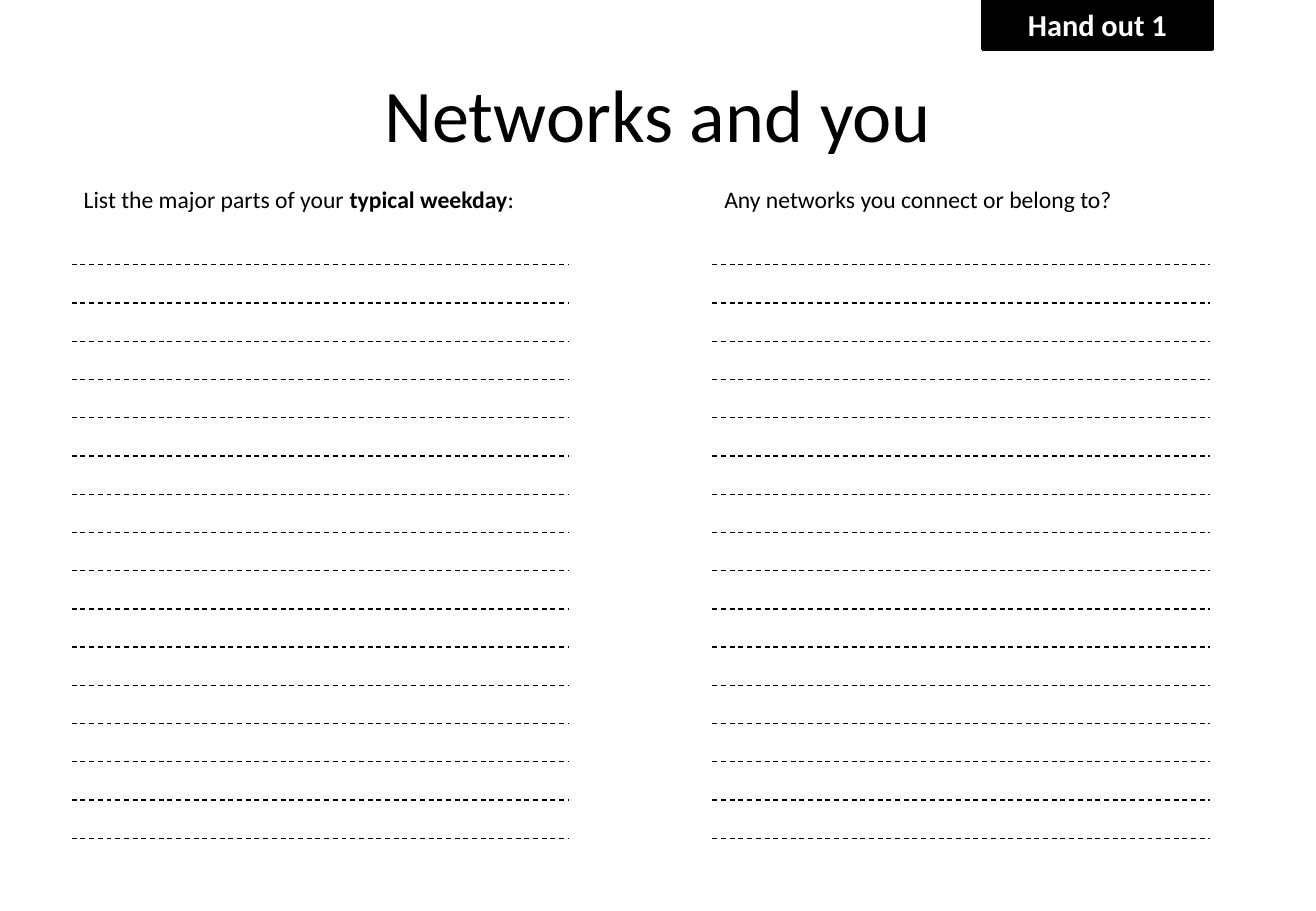
from lxml.etree import SubElement
from pptx import Presentation
from pptx.dml.color import RGBColor
from pptx.enum.dml import MSO_LINE
from pptx.enum.shapes import MSO_CONNECTOR, MSO_SHAPE
from pptx.enum.text import MSO_ANCHOR, PP_ALIGN
from pptx.oxml.ns import qn
from pptx.util import Pt

COLORS = {"ink": "000000", "paper": "FFFFFF"}
FONT = "Calibri"
LINE_COUNT = 16
LINE_LENGTH = 294.8
FIRST_LINE_TOP = 157
LINE_GAP = 22.66


def color(name):
    return RGBColor.from_string(COLORS[name])


def format_run(run, size, ink="ink", bold=False):
    run.font.name = FONT
    run.font.size = Pt(size)
    run.font.bold = bold
    run.font.color.rgb = color(ink)


presentation = Presentation()
presentation.slide_width = Pt(780)
presentation.slide_height = Pt(540)
slide = presentation.slides.add_slide(presentation.slide_layouts[5])

heading = slide.shapes.title
heading.left, heading.top, heading.width, heading.height = Pt(39), Pt(21.6), Pt(702), Pt(90)
heading.text_frame.text = "Networks and you"
heading.text_frame.vertical_anchor = MSO_ANCHOR.MIDDLE
heading.text_frame.paragraphs[0].alignment = PP_ALIGN.CENTER
format_run(heading.text_frame.paragraphs[0].runs[0], 44)

columns = [
    (42.5, [("List the major parts of your ", False), ("typical weekday", True), (":", False)]),
    (422.2, [("Any networks you connect or belong to?", False)]),
]
for left, question_parts in columns:
    column = slide.shapes.add_group_shape()
    question = column.shapes.add_textbox(Pt(left), Pt(106), Pt(320), Pt(58))
    question.text_frame.word_wrap = True
    for words, bold in question_parts:
        part = question.text_frame.paragraphs[0].add_run()
        part.text = words
        format_run(part, 14, bold=bold)

    for row in range(LINE_COUNT):
        top = Pt(FIRST_LINE_TOP + row * LINE_GAP)
        writing_line = column.shapes.add_connector(
            MSO_CONNECTOR.STRAIGHT, Pt(left), top, Pt(left + LINE_LENGTH), top
        )
        writing_line.line.color.rgb = color("ink")
        writing_line.line.width = Pt(0.75)
        writing_line.line.dash_style = MSO_LINE.DASH
        SubElement(writing_line.element.spPr, qn("a:effectLst"))

handout_tab = slide.shapes.add_shape(MSO_SHAPE.RECTANGLE, Pt(582.5), Pt(0), Pt(136), Pt(29))
handout_tab.shadow.inherit = False
handout_tab.fill.solid()
handout_tab.fill.fore_color.rgb = color("ink")
handout_tab.line.color.rgb = color("ink")
handout_tab.line.width = Pt(2)
handout_tab.text_frame.text = "Hand out 1"
handout_tab.text_frame.word_wrap = True
handout_tab.text_frame.vertical_anchor = MSO_ANCHOR.TOP
handout_tab.text_frame.paragraphs[0].alignment = PP_ALIGN.CENTER
format_run(handout_tab.text_frame.paragraphs[0].runs[0], 18, "paper", True)

presentation.save("out.pptx")
